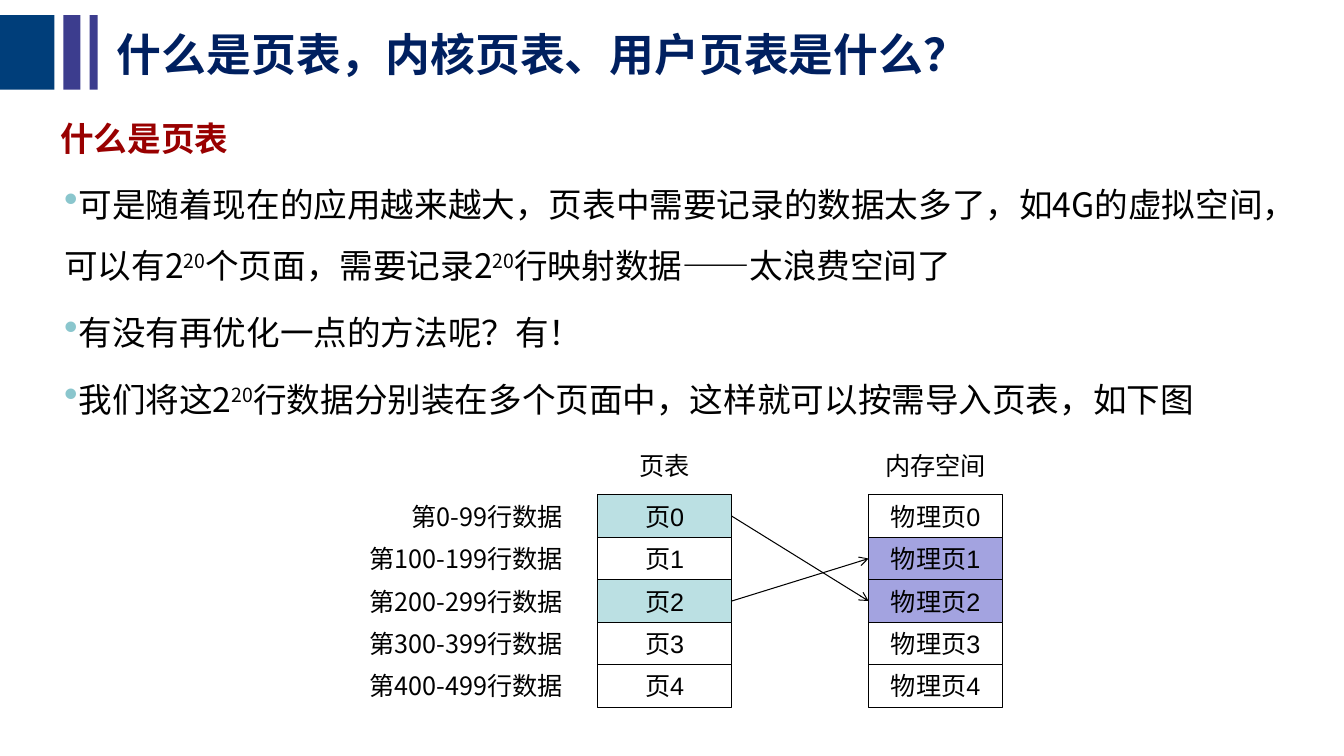
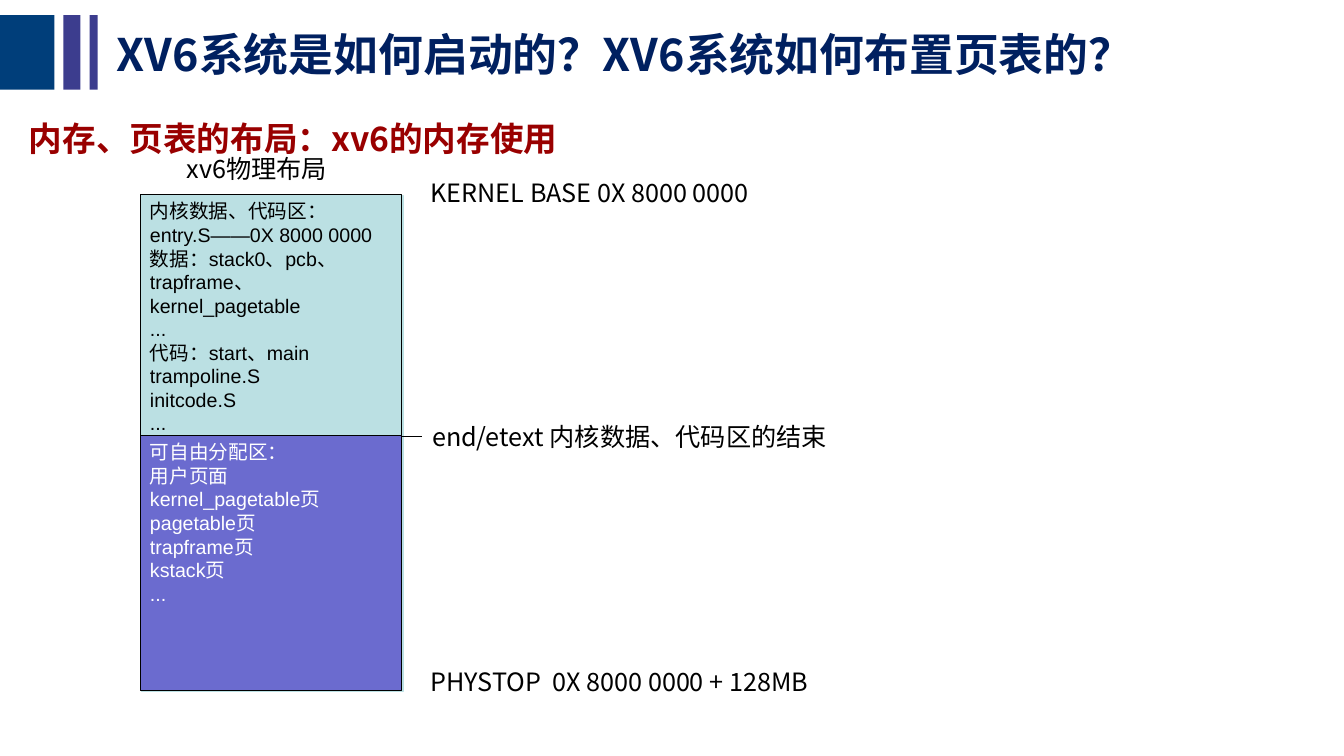
import lxml.etree
import pptx
import pptx.dml.color
import pptx.enum.shapes
import pptx.enum.text
import pptx.oxml.ns
import pptx.util

Cm = pptx.util.Cm
Pt = pptx.util.Pt
ALIGN = pptx.enum.text.PP_ALIGN
ANCHOR = pptx.enum.text.MSO_ANCHOR
RECTANGLE = pptx.enum.shapes.MSO_SHAPE.RECTANGLE
STRAIGHT = pptx.enum.shapes.MSO_CONNECTOR.STRAIGHT


def colour(value):
    return pptx.dml.color.RGBColor.from_string(value)


def add_xml(parent, tag, **attributes):
    return lxml.etree.SubElement(parent, pptx.oxml.ns.qn(tag), attributes)


class Slides:
    """Holds the shared style and the current page."""
    SANS, ARIAL = "Noto Sans CJK SC", "Arial"
    BLACK, WHITE = "000000", "FFFFFF"
    TEAL, LILAC, VIOLET = "BBE0E3", "A3A3E0", "6B6BCF"
    NAVY, RED, BULLET = "002060", "990000", "8AC6CD"
    # left, width, colour of the bands beside the title
    BANDS = [(0, 1.37, "003E7A"), (1.6, 0.43, "3C3D8E"), (2.26, 0.2, "3C3D8E")]

    def __init__(self):
        self.deck = pptx.Presentation()
        self.deck.slide_width, self.deck.slide_height = Cm(33.87), Cm(19.05)
        self.page = None

    def new_page(self, title, heading, heading_left):
        self.page = self.deck.slides.add_slide(self.deck.slide_layouts[5])
        for left, width, fill in self.BANDS:
            self.box(left, 0.38, width, 1.88, fill, line=None)
        holder = self.page.shapes.title
        holder.left, holder.top = Cm(2.69), Cm(0.41)
        holder.width, holder.height = Cm(27.5), Cm(1.9)
        self.set_text(holder, [title], size=32, ink=self.NAVY, bold=True)
        self.label(heading_left, 2.34, 30, 2, [heading], size=24, ink=self.RED,
                   bold=True, anchor=ANCHOR.TOP, loose=True)

    def set_text(self, shape, lines, size=18, ink=BLACK, font=SANS, bold=False,
                 align=ALIGN.LEFT, anchor=ANCHOR.MIDDLE, loose=False):
        """One paragraph per line; text between ^ marks is raised."""
        frame = shape.text_frame
        frame.word_wrap = True
        frame.auto_size = pptx.enum.text.MSO_AUTO_SIZE.NONE
        frame.vertical_anchor = anchor
        for number, line in enumerate(lines):
            para = frame.add_paragraph() if number else frame.paragraphs[0]
            para.alignment = align
            if loose:
                para.line_spacing, para.space_before = 1.5, Pt(4.8)
            for index, part in enumerate(line.split("^")):
                span = para.add_run()
                span.text = part
                span.font.size, span.font.bold = Pt(size), bold
                span.font.color.rgb = colour(ink)
                span.font.name = font
                properties = span._r.get_or_add_rPr()
                add_xml(properties, "a:ea", typeface=self.SANS)
                if index % 2:
                    properties.set("baseline", "30000")

    def label(self, left, top, width, height, lines, **style):
        shape = self.page.shapes.add_textbox(Cm(left), Cm(top), Cm(width), Cm(height))
        self.set_text(shape, lines, **style)
        return shape

    def bullets(self, left, top, width, height, lines):
        shape = self.label(left, top, width, height, lines, size=24,
                           anchor=ANCHOR.TOP, loose=True)
        for para in shape.text_frame.paragraphs:
            properties = para._p.get_or_add_pPr()
            add_xml(add_xml(properties, "a:buClr"), "a:srgbClr", val=self.BULLET)
            add_xml(properties, "a:buSzPct", val="120000")
            add_xml(properties, "a:buChar", char="•")

    def box(self, left, top, width, height, fill, lines=(), line=BLACK,
            weight=0.75, **style):
        shape = self.page.shapes.add_shape(RECTANGLE, Cm(left), Cm(top), Cm(width), Cm(height))
        shape.shadow.inherit = False
        if fill:
            shape.fill.solid()
            shape.fill.fore_color.rgb = colour(fill)
        else:
            shape.fill.background()
        if line:
            shape.line.color.rgb = colour(line)
            shape.line.width = Pt(weight)
        else:
            shape.line.fill.background()
        self.set_text(shape, lines, font=self.ARIAL, **style)
        return shape

    def connect(self, start, start_side, end, end_side, arrow=False):
        link = self.page.shapes.add_connector(STRAIGHT, 0, 0, 0, 0)
        link.begin_connect(start, start_side)
        link.end_connect(end, end_side)
        link.line.color.rgb = colour(self.BLACK)
        link.line.width = Pt(0.75)
        if arrow:
            add_xml(link.line._get_or_add_ln(), "a:tailEnd", type="arrow")
        add_xml(link._element.spPr, "a:effectLst")

    def column(self, left, top, width, row, heading, prefix, marked, fill):
        """A headed stack of five numbered cells, some of them marked."""
        self.label(left, top - 1.25, width, 1.02, [heading], align=ALIGN.CENTER)
        return [self.box(left, top + number * row, width, row,
                         fill if number in marked else self.WHITE,
                         [f"{prefix}{number}"], align=ALIGN.CENTER)
                for number in range(5)]


def page_table(slides):
    slides.new_page("什么是页表，内核页表、用户页表是什么？", "什么是页表", 1.27)
    slides.bullets(1.37, 4.01, 31.9, 7.2, [
        "可是随着现在的应用越来越大，页表中需要记录的数据太多了，如4G的虚拟空间，"
        "可以有2^20^个页面，需要记录2^20^行映射数据——太浪费空间了",
        "有没有再优化一点的方法呢？有！",
        "我们将这2^20^行数据分别装在多个页面中，这样就可以按需导入页表，如下图",
    ])
    # Page table and physical memory
    top, width, row = 12.47, 3.38, 1.07
    entries = slides.column(15.06, top, width, row, "页表", "页", (0, 2), slides.TEAL)
    frames = slides.column(21.89, top, width, row, "内存空间", "物理页", (1, 2), slides.LILAC)
    for entry, frame in ((2, 1), (0, 2)):
        slides.connect(entries[entry], 3, frames[frame], 1, arrow=True)
    # Rows held by each page
    for number in range(5):
        first = number * 100
        slides.label(7.14, top + number * row, 7.3, row,
                     [f"第{first}-{first + 99}行数据"], align=ALIGN.RIGHT)


def memory_layout(slides):
    slides.new_page("XV6系统是如何启动的？XV6系统如何布置页表的？",
                    "内存、页表的布局：xv6的内存使用", 0.48)
    # Memory range and its addresses
    left, width, middle = 3.53, 6.6, 11
    slides.box(3.56, 4.93, width, 12.5, None, line=slides.TEAL, weight=1)
    slides.label(4.45, 3.73, 4.8, 1.02, ["xv6物理布局"])
    slides.label(10.6, 4.34, 11.3, 1.02, ["KERNEL BASE 0X 8000 0000"])
    slides.label(10.6, 16.66, 11.3, 1.02, ["PHYSTOP  0X 8000 0000 + 128MB"])
    # Kernel area, its end mark and the free area
    area = {"size": 14, "anchor": ANCHOR.TOP}
    kernel = slides.box(left, 4.9, width, middle - 4.9, slides.TEAL, [
        "内核数据、代码区：", "entry.S——0X 8000 0000",
        "数据：stack0、pcb、trapframe、kernel_pagetable", "...",
        "代码：start、main", "trampoline.S", "initcode.S", "..."], **area)
    end = slides.label(10.64, middle - 0.51, 11.3, 1.02, ["end/etext 内核数据、代码区的结束"])
    slides.connect(kernel, 2, end, 1)
    slides.box(left, middle - 0.03, width, 6.43, slides.VIOLET, [
        "可自由分配区：", "用户页面", "kernel_pagetable页", "pagetable页",
        "trapframe页", "kstack页", "..."], ink=slides.WHITE, **area)


def main():
    slides = Slides()
    page_table(slides)
    memory_layout(slides)
    slides.deck.save("out.pptx")


if __name__ == "__main__":
    main()
